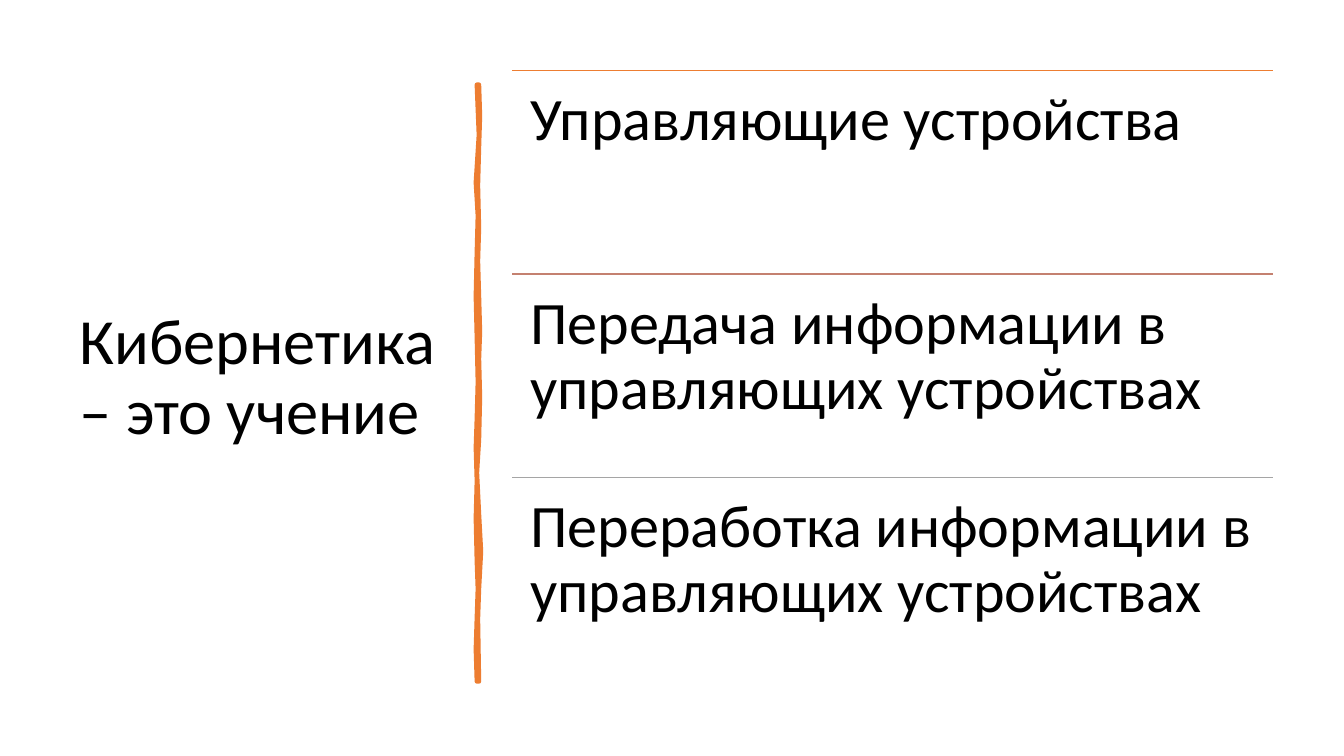
from dataclasses import dataclass

from lxml import etree
from pptx import Presentation
from pptx.dml.color import RGBColor
from pptx.enum.shapes import MSO_CONNECTOR
from pptx.enum.text import MSO_ANCHOR, MSO_AUTO_SIZE, PP_ALIGN
from pptx.oxml.ns import qn
from pptx.util import Inches, Pt

STRAIGHT = MSO_CONNECTOR.STRAIGHT
MIDDLE, TOP = MSO_ANCHOR.MIDDLE, MSO_ANCHOR.TOP
LEFT = PP_ALIGN.LEFT
NO_AUTOFIT = MSO_AUTO_SIZE.NONE
TITLE_ONLY_LAYOUT = 5


@dataclass(frozen=True)
class Theme:
    """Colours, font, type sizes and line widths of the slide."""
    font: str = "Calibri"
    text: RGBColor = RGBColor(0x00, 0x00, 0x00)
    accent: RGBColor = RGBColor(0xED, 0x7D, 0x31)
    rules: tuple = (RGBColor(0xED, 0x7D, 0x31), RGBColor(0xC4, 0x81, 0x70),
                    RGBColor(0xA5, 0xA5, 0xA5))
    title_size: float = 46
    item_size: float = 43
    line_spacing: float = 0.9
    rule_width: float = 1
    divider_width: float = 3.25


THEME = Theme()
TITLE = "Кибернетика – это учение"
ITEMS = (
    "Управляющие устройства",
    "Передача информации в управляющих устройствах",
    "Переработка информации в управляющих устройствах",
)
RIGHT_EDGE = (
    (0.04, 0), (0.05, 0.31), (0.04, 0.62), (0.03, 1), (0.04, 1.42),
    (0.03, 1.75), (0.04, 2.1), (0.05, 2.45), (0.04, 2.72), (0.05, 3.1),
    (0.04, 3.52), (0.02, 3.85), (0.04, 4.26), (0.06, 4.63), (0.04, 5),
    (0.03, 5.3), (0.04, 5.92),
)
LEFT_EDGE = (
    (0.02, 5.92), (0.01, 5.6), (0.02, 5.29), (0.03, 5), (0.02, 4.73),
    (0.01, 4.3), (0.02, 3.93), (0.01, 3.6), (0.02, 3.31), (0.03, 2.95),
    (0.02, 2.51), (0.01, 2.1), (0.02, 1.66), (0.03, 1.3), (0.01, 0.97),
    (0.04, 0.5), (0.02, 0),
)


def write_text(shape, text, size, anchor, inset_x, inset_y):
    """Fill a shape with one left-aligned, wrapped paragraph."""
    frame = shape.text_frame
    frame.text = text
    frame.word_wrap = True
    frame.auto_size = NO_AUTOFIT
    frame.vertical_anchor = anchor
    frame.margin_left = frame.margin_right = Inches(inset_x)
    frame.margin_top = frame.margin_bottom = Inches(inset_y)
    paragraph = frame.paragraphs[0]
    paragraph.alignment = LEFT
    paragraph.line_spacing = THEME.line_spacing
    font = paragraph.runs[0].font
    font.name = THEME.font
    font.size = Pt(size)
    font.color.rgb = THEME.text


def place_title(slide, left, top, width, height):
    """Move the title placeholder into its box."""
    title = slide.shapes.title
    title.left, title.top = Inches(left), Inches(top)
    title.width, title.height = Inches(width), Inches(height)
    write_text(title, TITLE, THEME.title_size, MIDDLE, 0.1, 0.05)


def add_divider(slide, left, top):
    """Draw the hand-drawn vertical bar from its two wavy edges."""
    points = [(Inches(left + x), Inches(top + y))
              for x, y in RIGHT_EDGE + LEFT_EDGE]
    builder = slide.shapes.build_freeform(*points[0])
    builder.add_line_segments(points[1:], close=True)
    divider = builder.convert_to_shape()
    divider.shadow.inherit = False
    divider.fill.solid()
    divider.fill.fore_color.rgb = THEME.accent
    divider.line.color.rgb = THEME.accent
    divider.line.width = Pt(THEME.divider_width)
    etree.SubElement(divider.line._get_or_add_ln(), qn("a:round"))


def add_rule(slide, left, top, width, color):
    """Draw a thin horizontal rule."""
    rule = slide.shapes.add_connector(
        STRAIGHT, Inches(left), Inches(top), Inches(left + width), Inches(top))
    rule.line.color.rgb = color
    rule.line.width = Pt(THEME.rule_width)
    etree.SubElement(rule._element.spPr, qn("a:effectLst"))


def add_items(slide, left, top, width, height):
    """Stack the ruled items in equal rows."""
    row_height = height / len(ITEMS)
    for index, (text, color) in enumerate(zip(ITEMS, THEME.rules)):
        row_top = top + index * row_height
        add_rule(slide, left, row_top, width, color)
        item = slide.shapes.add_textbox(
            Inches(left), Inches(row_top), Inches(width), Inches(row_height))
        write_text(item, text, THEME.item_size, TOP, 0.18, 0.18)


def main():
    """Build and save the slide."""
    presentation = Presentation()
    presentation.slide_width = Inches(13.33)
    presentation.slide_height = Inches(7.5)
    layout = presentation.slide_layouts[TITLE_ONLY_LAYOUT]
    slide = presentation.slides.add_slide(layout)
    place_title(slide, 0.69, 0.7, 3.74, 6.11)
    add_divider(slide, 4.71, 0.84)
    add_items(slide, 5.08, 0.7, 7.55, 6.06)
    presentation.save("out.pptx")


if __name__ == "__main__":
    main()
